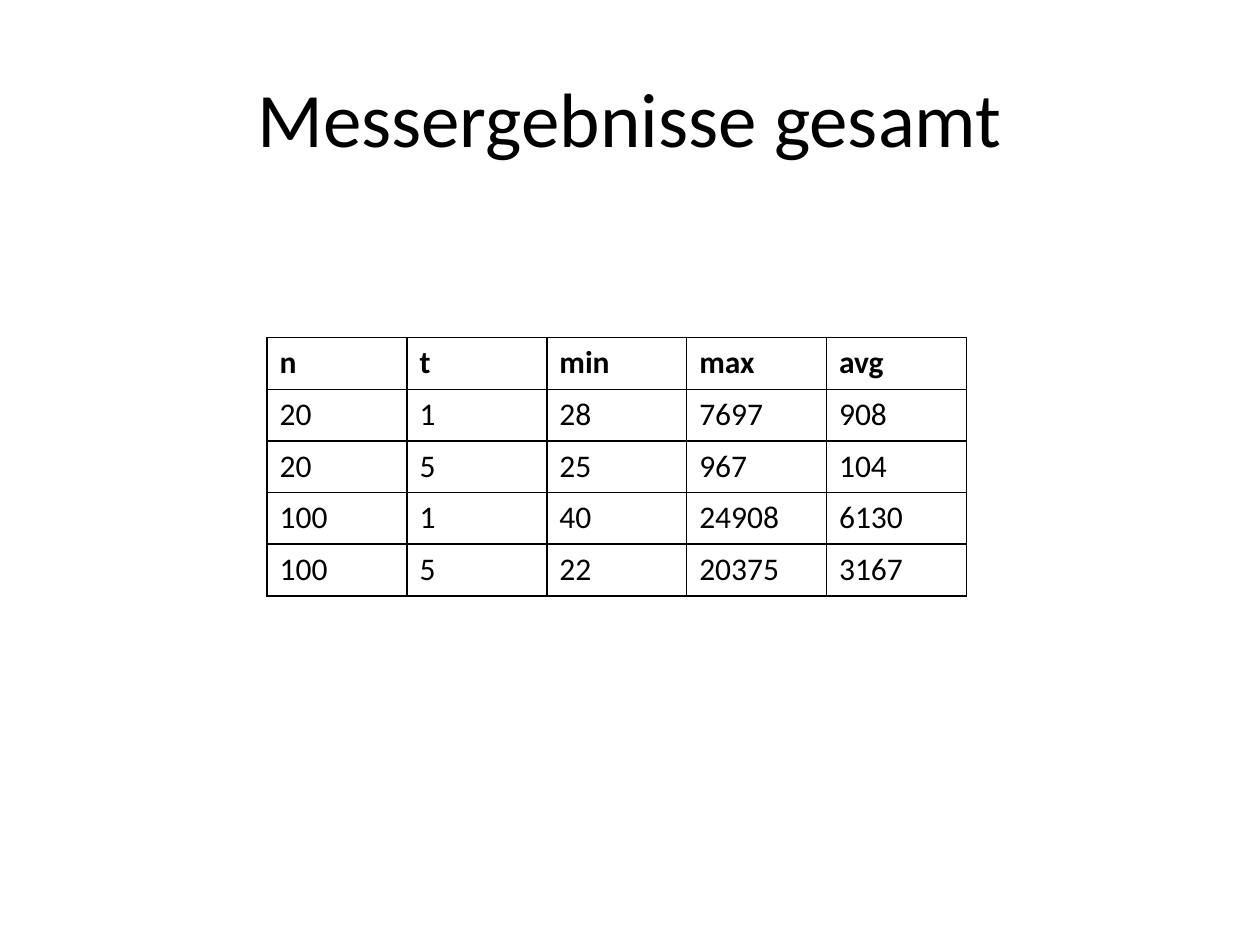
from lxml import etree
from pptx import Presentation, util as u
from pptx.dml.color import RGBColor
from pptx.enum import text
from pptx.oxml import ns

HEADING = "Messergebnisse gesamt"
RESULTS = [
    ("n", "t", "min", "max", "avg"),
    (20, 1, 28, 7697, 908),
    (20, 5, 25, 967, 104),
    (100, 1, 40, 24908, 6130),
    (100, 5, 22, 20375, 3167),
]
BLACK = RGBColor(0, 0, 0)
FONT = "Calibri"
COLUMN, ROW = u.Inches(1.11), u.Inches(0.41)


def style(frame, size, bold=False):
    for run in frame.paragraphs[0].runs:
        run.font.name = FONT
        run.font.size = u.Pt(size)
        run.font.bold = bold
        run.font.color.rgb = BLACK


def add_borders(cell):
    properties = cell._tc.get_or_add_tcPr()
    for position, side in enumerate(("lnL", "lnR", "lnT", "lnB")):
        line = etree.Element(ns.qn("a:" + side), w=str(u.Pt(1)))
        fill = etree.SubElement(line, ns.qn("a:solidFill"))
        etree.SubElement(fill, ns.qn("a:srgbClr"), val=str(BLACK))
        properties.insert(position, line)


deck = Presentation()
deck.slide_width, deck.slide_height = u.Inches(10), u.Inches(7.5)
slide = deck.slides.add_slide(deck.slide_layouts[6])

margin = int(deck.slide_width * 0.05)
heading = slide.shapes.add_textbox(
    margin, u.Inches(0.3), deck.slide_width - 2 * margin, u.Inches(1.25)
).text_frame
heading.word_wrap = True
heading.vertical_anchor = text.MSO_ANCHOR.MIDDLE
heading.text = HEADING
heading.paragraphs[0].alignment = text.PP_ALIGN.CENTER
style(heading, 44)

rows, columns = len(RESULTS), len(RESULTS[0])
results = slide.shapes.add_table(
    rows, columns, u.Inches(2.12), u.Inches(2.68), COLUMN * columns, ROW * rows
).table
for column in results.columns:
    column.width = COLUMN
for r, values in enumerate(RESULTS):
    results.rows[r].height = ROW
    for c, value in enumerate(values):
        cell = results.cell(r, c)
        cell.text_frame.text = str(value)
        style(cell.text_frame, 18, bold=r == 0)
        cell.fill.background()
        add_borders(cell)

deck.save("out.pptx")
